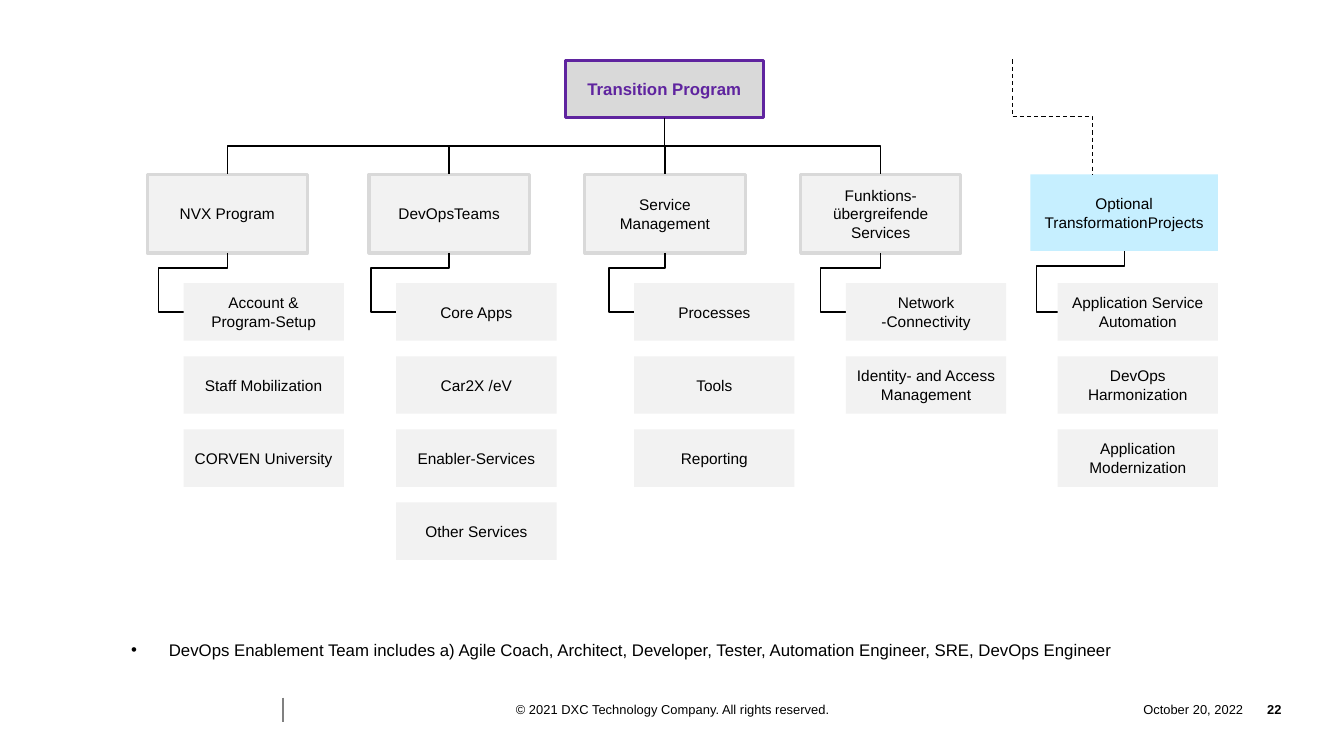
"""Build the transition program organisation chart slide."""
from lxml import etree
from pptx import Presentation
from pptx.dml.color import RGBColor
from pptx.enum import dml, shapes, text
from pptx.oxml.ns import qn
from pptx.util import Inches, Pt

rgb = RGBColor.from_string
RECTANGLE = shapes.MSO_SHAPE.RECTANGLE
CENTER, RIGHT = text.PP_ALIGN.CENTER, text.PP_ALIGN.RIGHT


def write(holder, wording, size=11, color="000000", bold=False, align=CENTER,
          anchor=text.MSO_ANCHOR.MIDDLE, margins=(0.1, 0.05), wrap=True,
          fill=None, border=None):
    """Fill a shape with formatted text and give it its fill and border."""
    frame = holder.text_frame
    frame.text = wording
    frame.word_wrap = wrap
    frame.vertical_anchor = anchor
    frame.margin_left = frame.margin_right = Inches(margins[0])
    frame.margin_top = frame.margin_bottom = Inches(margins[1])
    for paragraph in frame.paragraphs:
        paragraph.alignment = align
        paragraph.font.name = "Arial"
        paragraph.font.size = Pt(size)
        paragraph.font.bold = bold
        paragraph.font.color.rgb = rgb(color)
    if fill:
        holder.shadow.inherit = False
        holder.fill.solid()
        holder.fill.fore_color.rgb = rgb(fill)
        if border:
            holder.line.color.rgb = rgb(border)
            holder.line.width = Pt(2.25)
        else:
            holder.line.fill.background()


def elbow(start, end, lane=None, width=1):
    """Draw a connector that leaves downwards, through a side lane if given."""
    (x1, y1), (x2, y2) = start, end
    middle_x, middle_y = (x1 + x2) / 2, (y1 + y2) / 2
    rightward = x2 >= x1
    half_drop = (y2 - y1) / 2 * (-1 if rightward else 1)
    half_span = abs(x2 - x1) / 2
    link = slide.shapes.add_connector(
        shapes.MSO_CONNECTOR.ELBOW,
        Inches(middle_x - half_drop), Inches(middle_y - half_span),
        Inches(middle_x + half_drop), Inches(middle_y + half_span))
    link.line.color.rgb = rgb("000000")
    link.line.width = Pt(width)
    properties = link._element.spPr
    properties.find(qn("a:xfrm")).set("rot", str((270 if rightward else 90) * 60000))
    etree.SubElement(properties, qn("a:effectLst"))
    if lane is not None:
        geometry = properties.find(qn("a:prstGeom"))
        geometry.set("prst", "bentConnector4")
        guides = geometry.find(qn("a:avLst"))
        if guides is None:
            guides = etree.SubElement(geometry, qn("a:avLst"))
        ratios = 0.15 / (y2 - y1), (x1 - lane) / (x1 - x2)
        for number, ratio in enumerate(ratios, 1):
            etree.SubElement(guides, qn("a:gd"), name=f"adj{number}",
                             fmla=f"val {round(ratio * 100000)}")
    return link


deck = Presentation()
deck.slide_width, deck.slide_height = Inches(13.33), Inches(7.5)
slide = deck.slides.add_slide(deck.slide_layouts[1])
title = slide.shapes.title
title._element.getparent().remove(title._element)

program = slide.shapes.add_shape(
    RECTANGLE, Inches(5.61), Inches(0.6), Inches(1.96), Inches(0.57))
write(program, "Transition Program", size=12, color="5F249F", bold=True,
      fill="D9D9D9", border="5F249F")
program_foot = (6.59, 1.17)

GREY, PALE, BLUE = "D9D9D9", "F2F2F2", "C6EFFF"
HEAD_TOP, ITEM_TOP, ITEM_STEP = 1.73, 2.81, 0.725
ITEM_WIDTH, ITEM_HEIGHT = 1.59, 0.57

streams = [
    ("NVX Program", 1.46, 1.82,
     ["Account &\nProgram-Setup", "Staff Mobilization", "CORVEN University"]),
    ("DevOpsTeams", 3.66, 3.93,
     ["Core Apps", "Car2X /eV", "Enabler-Services", "Other Services"]),
    ("Service Management", 5.8, 6.29, ["Processes", "Tools", "Reporting"]),
    ("Funktions-übergreifende\nServices", 7.94, 8.39,
     ["Network -Connectivity", "Identity- and Access Management"]),
    ("Optional\nTransformationProjects", 10.22, 10.49,
     ["Application Service Automation", "DevOps Harmonization",
      "Application Modernization"]),
]

for heading, head_left, item_left, items in streams:
    optional = heading.startswith("Optional")
    head_width, head_height = (1.86, 0.76) if optional else (1.59, 0.78)
    center = head_left + head_width / 2
    lane = item_left - (0.21 if optional else 0.25)
    head = slide.shapes.add_shape(
        RECTANGLE, Inches(head_left), Inches(HEAD_TOP),
        Inches(head_width), Inches(head_height))
    write(head, heading, fill=BLUE if optional else PALE,
          border=None if optional else GREY)
    if not optional:
        elbow(program_foot, (center, HEAD_TOP))
    elbow((center, HEAD_TOP + head_height),
          (item_left, ITEM_TOP + ITEM_HEIGHT / 2), lane)
    for row, item in enumerate(items):
        box = slide.shapes.add_shape(
            RECTANGLE, Inches(item_left), Inches(ITEM_TOP + row * ITEM_STEP),
            Inches(ITEM_WIDTH), Inches(ITEM_HEIGHT))
        write(box, item, fill=PALE)

optional_link = elbow((10.04, 0.59), (10.84, HEAD_TOP), width=0.75)
optional_link.line.dash_style = dml.MSO_LINE.DASH

enablement = slide.placeholders[1]
enablement.left, enablement.top = Inches(1.2), Inches(6.3)
enablement.width, enablement.height = Inches(10.69), Inches(0.28)
enablement.text_frame.text = ""
note = enablement.text_frame.paragraphs[0]
note_format = note._p.get_or_add_pPr()
note_format.set("marL", str(Inches(0.19)))
note_format.set("indent", str(Inches(-0.19)))
etree.SubElement(note_format, qn("a:buChar"), char="•")
write(enablement,
      "DevOps Enablement Team includes a) Agile Coach, Architect, Developer, "
      "Tester, Automation Engineer, SRE, DevOps Engineer",
      size=12, align=text.PP_ALIGN.LEFT, anchor=text.MSO_ANCHOR.TOP)
note.line_spacing = 0.9
note.space_before, note.space_after = Pt(0), Pt(4)

footers = [
    ("© 2021 DXC Technology Company. All rights reserved.", 4.38, 4.58, CENTER, False),
    ("October 20, 2022", 10.84, 1.49, RIGHT, False),
    ("22", 12.33, 0.38, RIGHT, True),
]
for wording, left, width, align, bold in footers:
    footer = slide.shapes.add_textbox(
        Inches(left), Inches(6.91), Inches(width), Inches(0.25))
    write(footer, wording, size=9.2, bold=bold, align=align, margins=(0, 0))

divider = slide.shapes.add_connector(
    shapes.MSO_CONNECTOR.STRAIGHT, Inches(2.81), Inches(6.92), Inches(2.81), Inches(7.16))
divider.line.color.rgb = rgb("808080")
divider.line.width = Pt(1.5)
etree.SubElement(divider._element.spPr, qn("a:effectLst"))

deck.save("out.pptx")
